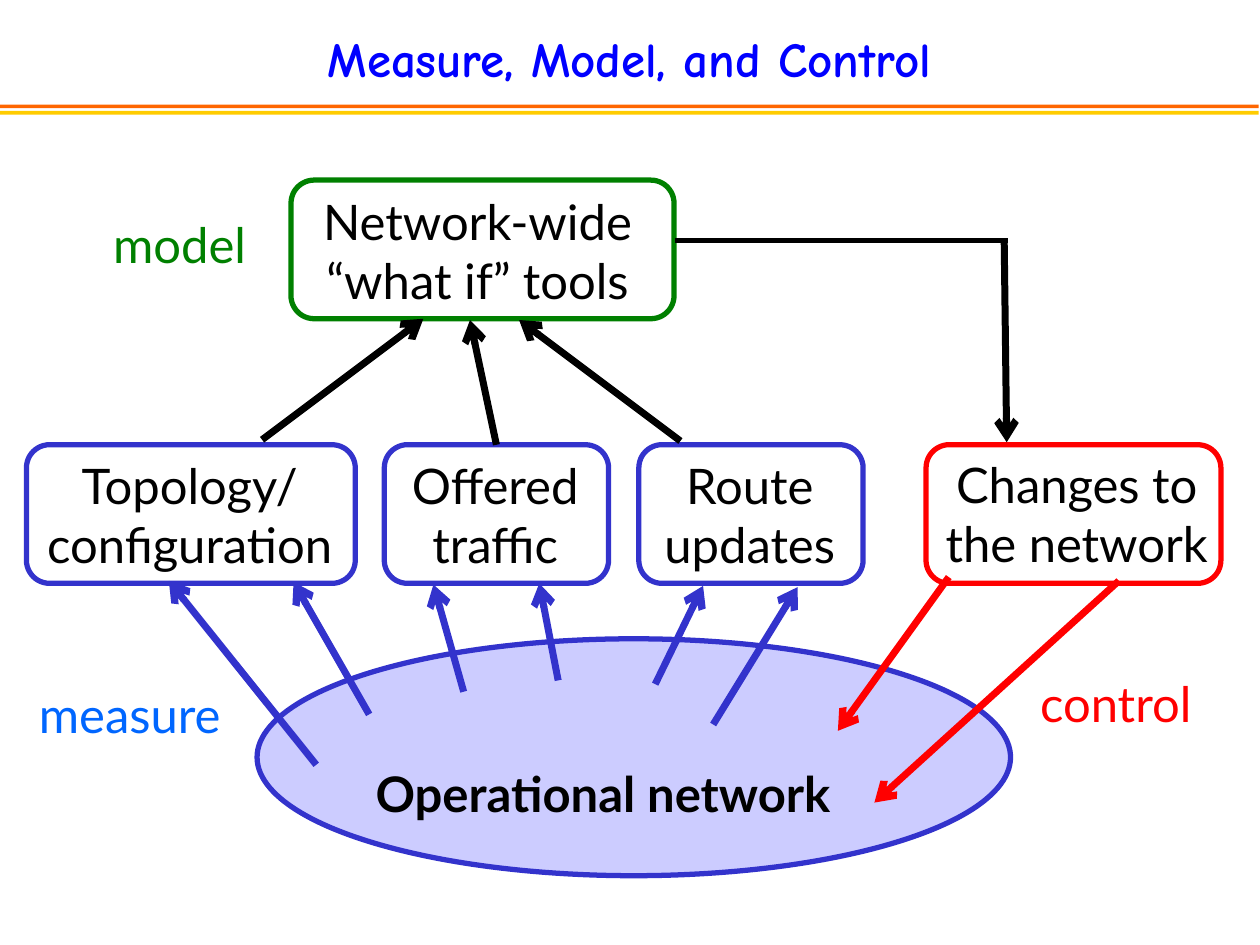
from lxml.etree import SubElement
from pptx import Presentation
from pptx.dml.color import RGBColor
from pptx.enum.shapes import MSO_CONNECTOR, MSO_SHAPE
from pptx.enum.text import MSO_ANCHOR, PP_ALIGN
from pptx.oxml.ns import qn
from pptx.util import Inches, Pt

COLOURS = {
    "title": "0000FF", "orange": "FF6600", "yellow": "FFCC00",
    "text": "000000", "data": "3333CC", "network": "CCCCFF",
    "model": "008000", "measure": "0066FF", "control": "FF0000",
}
BOX_TOP, BOX_HEIGHT = 3.53, 1.1

DATA_BOXES = [
    ("Topology/\nconfiguration", 0.21, 2.61, 0.13, 2.75),
    ("Offered\ntraffic", 3.05, 1.78, 2.99, 1.88),
    ("Route\nupdates", 5.07, 1.78, 5.01, 1.88),
]
ARROWS = [
    ("data", (2.51, 6.07), (1.34, 4.61)),
    ("data", (2.93, 5.67), (2.33, 4.62)),
    ("data", (3.68, 5.49), (3.44, 4.64)),
    ("data", (4.43, 5.4), (4.28, 4.63)),
    ("data", (5.2, 5.43), (5.58, 4.65)),
    ("data", (5.66, 5.75), (6.33, 4.66)),
    ("control", (7.53, 4.58), (6.65, 5.8)),
    ("control", (8.88, 4.61), (6.94, 6.37)),
    ("text", (2.08, 3.49), (3.36, 2.53)),
    ("text", (5.4, 3.5), (4.12, 2.54)),
    ("text", (7.97, 1.9), (7.99, 3.51)),
]
LABELS = [
    ("Operational network", "text", 2.65, 6.01, 4.27, True),
    ("measure", "measure", 0.13, 5.38, 1.8, False),
    ("control", "control", 8.11, 5.3, 1.49, False),
    ("model", "model", 0.75, 1.65, 1.35, False),
]


def colour(name):
    """Return the named colour."""
    return RGBColor.from_string(COLOURS[name])


def add_figure(shapes, kind, left, top, width, height, fill=None, line=None):
    """Add a preset shape with an optional fill and outline."""
    figure = shapes.add_shape(
        kind, Inches(left), Inches(top), Inches(width), Inches(height))
    figure.shadow.inherit = False
    if fill:
        figure.fill.solid()
        figure.fill.fore_color.rgb = colour(fill)
    else:
        figure.fill.background()
    if line:
        figure.line.color.rgb = colour(line)
        figure.line.width = Pt(3)
    else:
        figure.line.fill.background()
    return figure


def add_label(shapes, text, left, top, width, height=0.57, name="text",
              bold=False, font="Lato", wrap=False):
    """Add centred text, one paragraph for each line."""
    label = shapes.add_textbox(
        Inches(left), Inches(top), Inches(width), Inches(height))
    frame = label.text_frame
    frame.word_wrap = wrap
    frame.text = text
    for para in frame.paragraphs:
        para.alignment = PP_ALIGN.CENTER
        for span in para.runs:
            span.font.name = font
            span.font.size = Pt(28)
            span.font.bold = bold
            span.font.color.rgb = colour(name)
    return label


def add_box(shapes, text, line, left, width, text_left, text_width,
            top=BOX_TOP, text_offset=0.04):
    """Add a rounded outline with two lines of text over it."""
    box = add_figure(shapes, MSO_SHAPE.ROUNDED_RECTANGLE, left, top,
                     width, BOX_HEIGHT, line=line)
    add_label(shapes, text, text_left, top + text_offset, text_width, 1.04)
    return box


def add_line(shapes, name, start, end, width=4, arrow=True):
    """Add a straight line, with an open arrowhead at its end if wanted."""
    line = shapes.add_connector(
        MSO_CONNECTOR.STRAIGHT, *map(Inches, start + end))
    line.line.color.rgb = colour(name)
    line.line.width = Pt(width)
    if arrow:
        SubElement(line.line._get_or_add_ln(), qn("a:tailEnd"), type="arrow")
    SubElement(line._element.spPr, qn("a:effectLst"))
    return line


def add_heading(shapes):
    """Add the title and the two rules below it."""
    for top, fill in ((0.83, "orange"), (0.88, "yellow")):
        add_figure(shapes, MSO_SHAPE.RECTANGLE, 0, top, 9.99, 0.03, fill)
    title = add_label(shapes, "Measure, Model, and Control", 0, 0.17, 9.99,
                      0.58, "title", True, "Comic Neue", True)
    title.text_frame.vertical_anchor = MSO_ANCHOR.MIDDLE


def main():
    """Build the slide and save it."""
    deck = Presentation()
    deck.slide_width, deck.slide_height = Inches(10), Inches(7.5)
    page = deck.slides.add_slide(deck.slide_layouts[6])
    shapes = page.shapes
    add_heading(shapes)
    add_figure(shapes, MSO_SHAPE.OVAL, 2.04, 5.07, 5.98, 1.88,
               "network", "data")
    topology, traffic, routes = [
        add_box(shapes.add_group_shape().shapes, text, "data", *places)
        for text, *places in DATA_BOXES]
    add_box(shapes, "Changes to\nthe network", "control",
            7.35, 2.34, 7.34, 2.41, text_offset=0.03)
    add_box(shapes, "Network-wide\n“what if” tools", "model",
            2.31, 3.04, 2.32, 2.94, top=1.43)
    for name, start, end in ARROWS:
        add_line(shapes, name, start, end)
    add_line(shapes, "text", (5.36, 1.91), (8, 1.91), width=3, arrow=False)
    traffic_arrow = add_line(shapes, "text", (3.94, BOX_TOP), (3.73, 2.54))
    traffic_arrow.begin_connect(traffic, 0)
    for text, name, left, top, width, bold in LABELS:
        add_label(shapes, text, left, top, width, name=name, bold=bold)
    deck.save("out.pptx")


if __name__ == "__main__":
    main()
